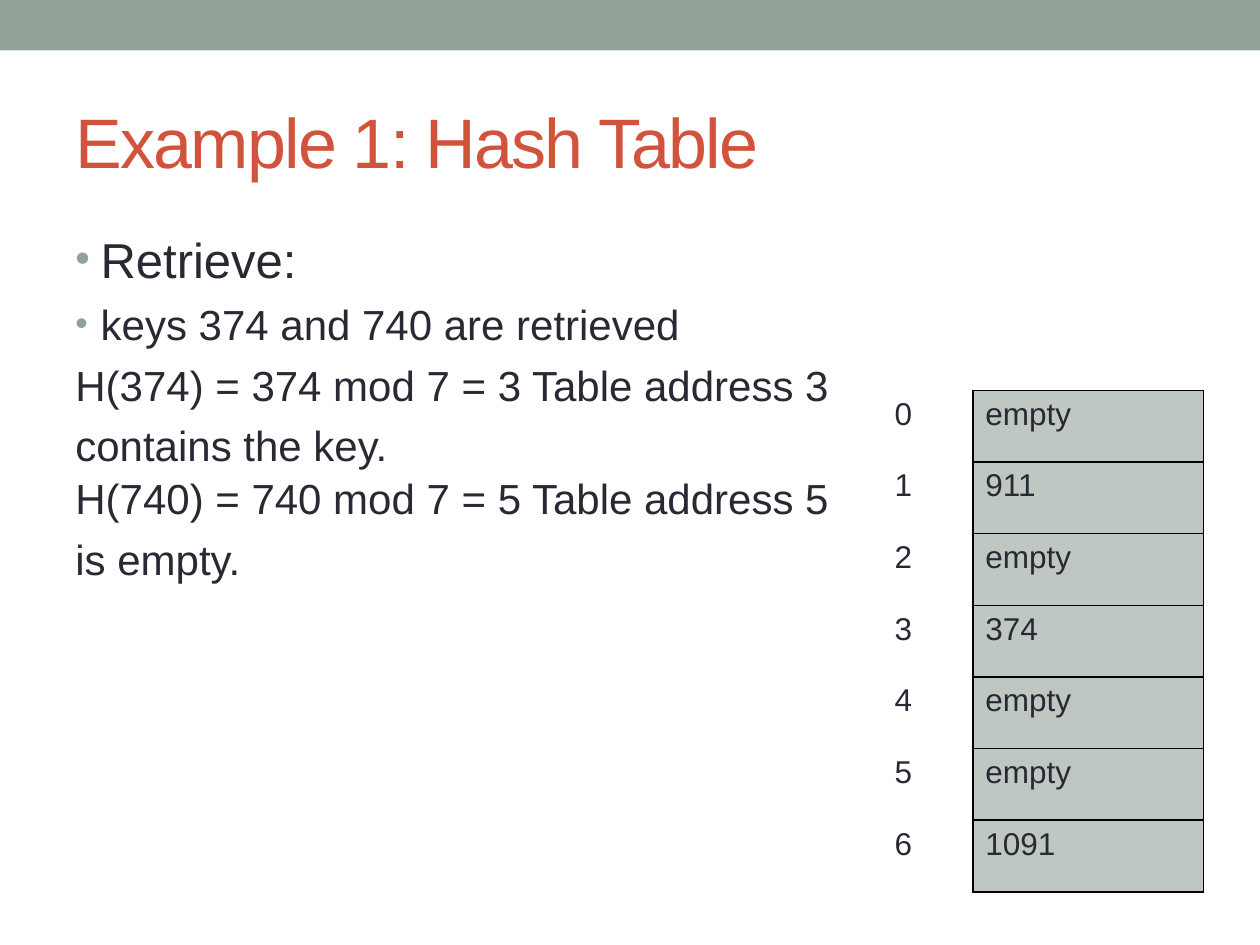
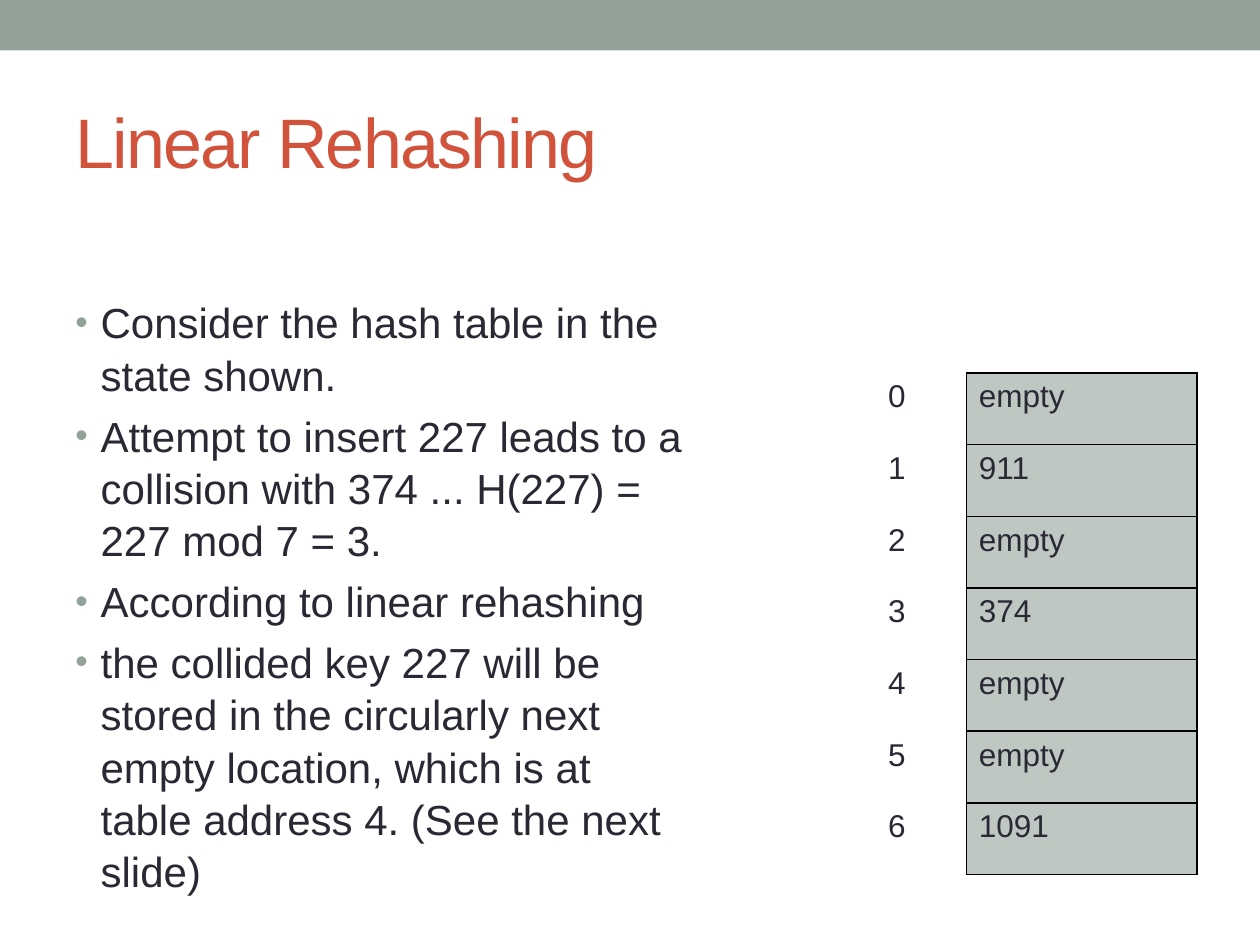
from lxml.etree import SubElement
from pptx import Presentation
from pptx.dml.color import RGBColor
from pptx.enum.shapes import MSO_SHAPE
from pptx.enum.text import MSO_ANCHOR
from pptx.oxml.ns import qn
from pptx.util import Cm, Pt

SAGE, RUST, INK, CELL, BLACK = "93A299", "D2533C", "292934", "BEC7C2", "000000"
COLUMNS = [1.07, 0.76, 4.65]
KEYS = ["empty", "911", "empty", "374", "empty", "empty", "1091"]

SLIDES = [
    {
        "title": "Example 1: Hash Table",
        "body": (1.27, 4.45, 22.86, 13.54),
        "table": (17.78, 7.87),
        "lines": [
            ("Retrieve:", 28, True),
            ("keys 374 and 740 are retrieved", 24, True),
            ("H(374) = 374 mod 7 = 3 Table address 3", 24, False),
            ("contains the key.\nH(740) = 740 mod 7 = 5 Table address 5", 24, False),
            ("is empty.", 24, False),
        ],
    },
    {
        "title": "Linear Rehashing",
        "body": (1.27, 5.82, 12.93, 12.19),
        "table": (17.65, 7.52),
        "lines": [
            ("Consider the hash table in the state shown.", 24, True),
            ("Attempt to insert 227 leads to a collision with 374 ... "
             "H(227) = 227 mod 7 = 3.", 24, True),
            ("According to linear rehashing", 24, True),
            ("the collided key 227 will be stored in the circularly next empty "
             "location, which is at table address 4. (See the next slide)", 24, True),
        ],
    },
]


def rgb(color):
    return RGBColor.from_string(color)


def set_font(p, size, color):
    p.font.name = "Arial"
    p.font.size = Pt(size)
    p.font.color.rgb = rgb(color)


prs = Presentation()
prs.slide_width, prs.slide_height = Cm(25.4), Cm(19.05)

for content in SLIDES:
    s = prs.slides.add_slide(prs.slide_layouts[6])

    band = s.shapes.add_shape(MSO_SHAPE.RECTANGLE, 0, 0, prs.slide_width, Cm(1.02))
    band.shadow.inherit = False
    band.fill.solid()
    band.fill.fore_color.rgb = rgb(SAGE)
    band.line.fill.background()

    tf = s.shapes.add_textbox(Cm(1.27), Cm(1.47), Cm(22.86), Cm(2.74)).text_frame
    tf.word_wrap = True
    tf.vertical_anchor = MSO_ANCHOR.MIDDLE
    p = tf.paragraphs[0]
    r = p.add_run()
    r.text = content["title"]
    set_font(p, 40, RUST)
    r.font._element.set("spc", "-100")

    tf = s.shapes.add_textbox(*map(Cm, content["body"])).text_frame
    tf.word_wrap = True
    for i, (text, size, bulleted) in enumerate(content["lines"]):
        p = tf.add_paragraph() if i else tf.paragraphs[0]
        p.text = text
        p.line_spacing = 1.04
        p.space_before = Pt(size * 0.2 if i else 0)
        set_font(p, size, INK)
        if bulleted:
            pPr = p._p.get_or_add_pPr()
            pPr.set("marL", str(Cm(0.51)))
            pPr.set("indent", str(-Cm(0.51)))
            bullet = [("buClr", {}), ("buSzPct", {"val": "85000"}),
                      ("buFont", {"typeface": "Arial"}), ("buChar", {"char": "•"})]
            nodes = [pPr.makeelement(qn(f"a:{tag}"), attrs) for tag, attrs in bullet]
            SubElement(nodes[0], qn("a:srgbClr"), val=SAGE)
            at = pPr.index(pPr.find(qn("a:defRPr")))
            pPr[at:at] = nodes

    left, top = content["table"]
    tbl = s.shapes.add_table(len(KEYS), 3, Cm(left), Cm(top),
                             Cm(sum(COLUMNS)), Cm(10.11)).table
    tbl.first_row = tbl.horz_banding = False
    for col, width in zip(tbl.columns, COLUMNS):
        col.width = Cm(width)
    for row, key in enumerate(KEYS):
        for col, (text, sides) in enumerate([(str(row), ""), ("", "R"), (key, "LRTB")]):
            cell = tbl.cell(row, col)
            p = cell.text_frame.paragraphs[0]
            p.text = text
            set_font(p, 18, INK)
            tcPr = cell._tc.get_or_add_tcPr()
            for side in sides:
                ln = SubElement(tcPr, qn(f"a:ln{side}"), w=str(Pt(1)))
                SubElement(SubElement(ln, qn("a:solidFill")), qn("a:srgbClr"), val=BLACK)
            if col == 2:
                cell.fill.solid()
                cell.fill.fore_color.rgb = rgb(CELL)
            else:
                cell.fill.background()

prs.save("out.pptx")
